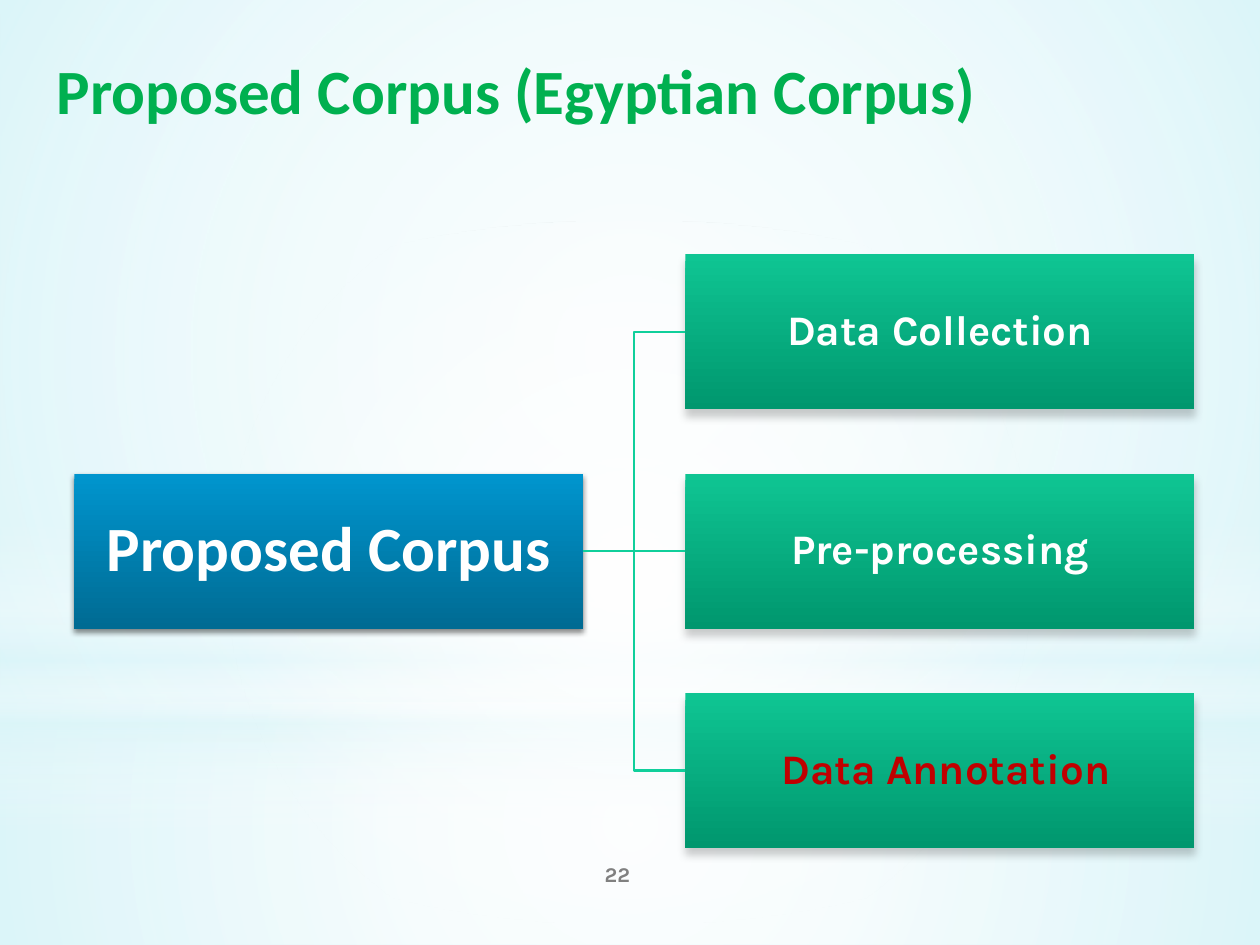
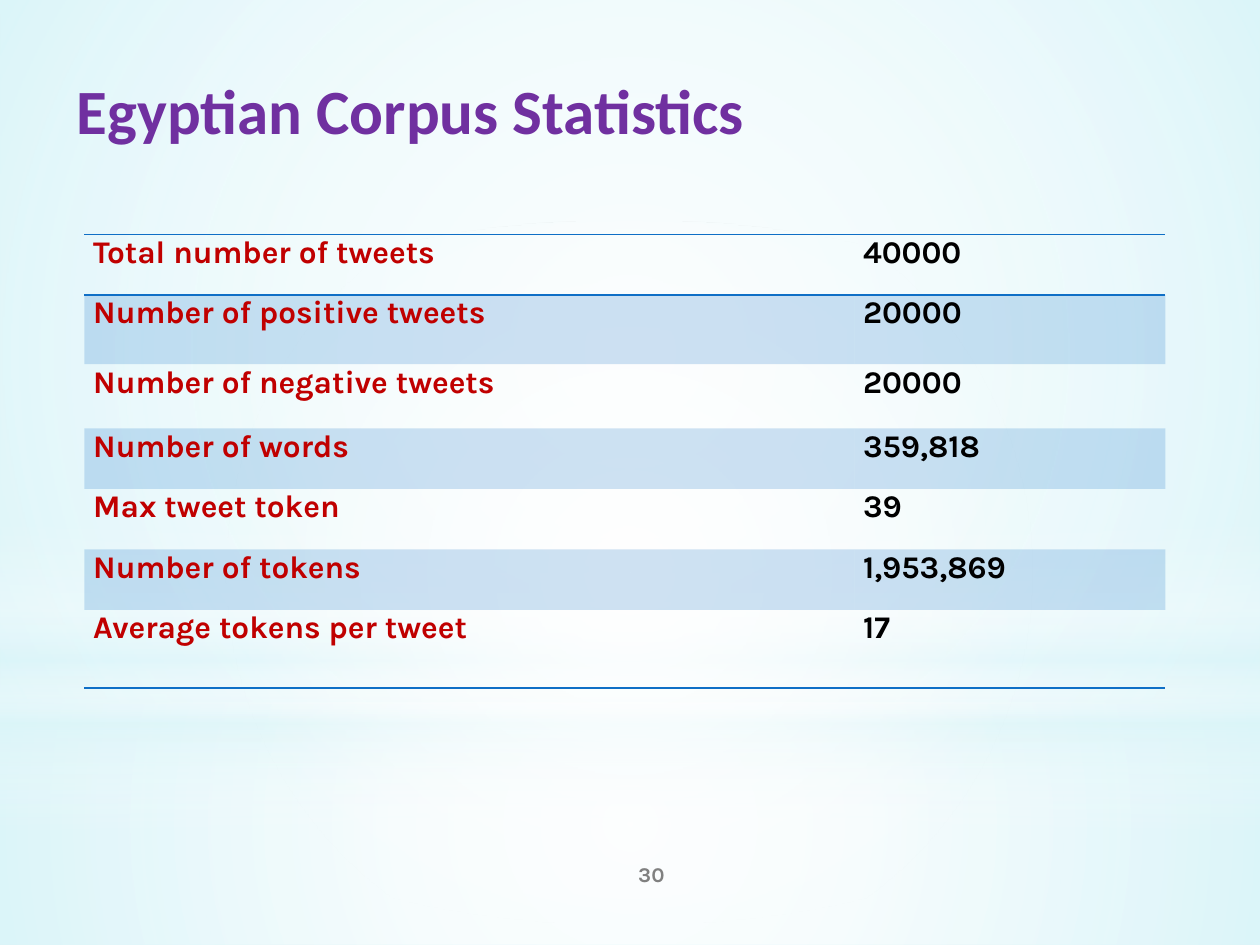
"""Build two slides on the Egyptian corpus: its steps and its statistics."""
import dataclasses

import pptx
import pptx.dml.color
import pptx.enum.shapes
import pptx.enum.text
import pptx.oxml
import pptx.oxml.ns
import pptx.util
from pptx.util import Inches

SHAPE = pptx.enum.shapes.MSO_SHAPE
LINK = pptx.enum.shapes.MSO_CONNECTOR
ALIGN = pptx.enum.text.PP_ALIGN
ANCHOR = pptx.enum.text.MSO_ANCHOR
qn = pptx.oxml.ns.qn
NS = pptx.oxml.ns.nsdecls("a")
PLAIN = "{2D5ABB26-0587-4C30-8999-92F81FD0307C}"


@dataclasses.dataclass(frozen=True)
class Theme:
    head: str = "Calibri"
    body: str = "Karla"
    big: int = 36
    mid: int = 24
    cell: int = 18
    small: int = 12
    pale: str = "DBF5F9"
    white: str = "FFFFFF"
    black: str = "000000"
    gray: str = "808080"
    green: str = "00B050"
    purple: str = "7030A0"
    red: str = "C00000"
    blue: str = "0F6FC6"
    teal: str = "10CF9B"
    hub: tuple = ((0, "0095CE", 100), (100, "006B93", 100))
    step: tuple = ((0, "0FC593", 100), (100, "00976E", 100))


class Deck:
    def __init__(self, theme):
        self.theme = theme
        self.prs = pptx.Presentation()
        self.prs.slide_width = Inches(10)
        self.prs.slide_height = Inches(7.5)
        self.slide = None

    def rgb(self, color):
        return pptx.dml.color.RGBColor.from_string(color)

    def label(self, frame, text, size, color, font, align=ALIGN.LEFT):
        frame.text = text
        frame.word_wrap = True
        para = frame.paragraphs[0]
        para.alignment = align
        style = para.runs[0].font
        style.name, style.size, style.bold = font, pptx.util.Pt(size), True
        style.color.rgb = self.rgb(color)
        return para

    def begin(self, text, color, box, page, left):
        t = self.theme
        self.slide = self.prs.slides.add_slide(self.prs.slide_layouts[5])
        title = self.slide.shapes.title
        title.left, title.top, title.width, title.height = map(Inches, box)
        frame = title.text_frame
        self.label(frame, text, t.big, color, t.head)
        frame.vertical_anchor = ANCHOR.TOP
        frame.auto_size = pptx.enum.text.MSO_AUTO_SIZE.NONE
        note = self.slide.shapes.add_textbox(
            Inches(left), Inches(6.74), Inches(2), Inches(0.4)).text_frame
        self.label(note, page, t.small, t.gray, t.body, ALIGN.CENTER)
        note.vertical_anchor = ANCHOR.MIDDLE

    def block(self, kind, box, stops, radial=False):
        shape = self.slide.shapes.add_shape(kind, *map(Inches, box))
        shape.shadow.inherit = False
        shape.line.fill.background()
        marks = "".join(
            f'<a:gs pos="{pos * 1000}"><a:srgbClr val="{color}">'
            f'<a:alpha val="{alpha * 1000}"/></a:srgbClr></a:gs>'
            for pos, color, alpha in stops)
        flow = ('<a:path path="circle"><a:fillToRect l="50000" t="50000" '
                'r="50000" b="50000"/></a:path>' if radial
                else '<a:lin ang="5400000" scaled="0"/>')
        fill = pptx.oxml.parse_xml(
            f'<a:gradFill {NS} rotWithShape="1"><a:gsLst>{marks}</a:gsLst>{flow}</a:gradFill>')
        shape.element.spPr.find(qn("a:prstGeom")).addnext(fill)
        return shape

    def box(self, text, place, stops, size, color, font, shade):
        shape = self.block(SHAPE.RECTANGLE, place, stops)
        alpha, blur, dist = shade
        shape.element.spPr.find(qn("a:effectLst")).append(pptx.oxml.parse_xml(
            f'<a:outerShdw {NS} blurRad="{pptx.util.Pt(blur)}" dist="{pptx.util.Pt(dist)}" '
            f'dir="5400000" rotWithShape="0"><a:srgbClr val="{self.theme.black}">'
            f'<a:alpha val="{alpha * 1000}"/></a:srgbClr></a:outerShdw>'))
        frame = shape.text_frame
        para = self.label(frame, text, size, color, font, ALIGN.CENTER)
        para.line_spacing = 0.9
        next(shape.element.iter(qn("a:pPr"))).set("rtl", "1")
        frame.vertical_anchor = ANCHOR.MIDDLE
        frame.margin_left = frame.margin_right = Inches(0.02)
        frame.margin_top = frame.margin_bottom = Inches(0.02)
        return shape

    def link(self, start, end):
        kind = LINK.STRAIGHT if start.top == end.top else LINK.ELBOW
        line = self.slide.shapes.add_connector(kind, 0, 0, 0, 0)
        line.begin_connect(start, 3)
        line.end_connect(end, 1)
        line.line.color.rgb = self.rgb(self.theme.teal)
        line.line.width = pptx.util.Pt(1.25)
        line.element.spPr.append(pptx.oxml.parse_xml(f"<a:effectLst {NS}/>"))

    def rule(self, props, sides):
        for spot, side in enumerate(sides):
            props.insert(spot, pptx.oxml.parse_xml(
                f'<a:ln{side} {NS} w="{pptx.util.Pt(1)}"><a:solidFill>'
                f'<a:srgbClr val="{self.theme.blue}"/></a:solidFill></a:ln{side}>'))

    def tint(self, cell, props, band):
        if not band:
            cell.fill.background()
            return
        cell.fill.solid()
        cell.fill.fore_color.rgb = self.rgb(self.theme.blue)
        next(props.iter(qn("a:srgbClr"))).append(
            pptx.oxml.parse_xml(f'<a:alpha {NS} val="20000"/>'))

    def table(self, rows, left, top, widths, heights):
        t = self.theme
        frame = self.slide.shapes.add_table(
            len(rows), len(widths), Inches(left), Inches(top),
            Inches(sum(widths)), Inches(sum(heights)))
        grid = frame.table
        grid.first_row = grid.horz_banding = False
        next(frame.element.iter(qn("a:tableStyleId"))).text = PLAIN
        for col, width in zip(grid.columns, widths):
            col.width = Inches(width)
        nodes = list(frame.element.iter(qn("a:tc")))
        edges = {0: "TB", len(rows) - 1: "B"}
        for r, (row, height) in enumerate(zip(rows, heights)):
            grid.rows[r].height = Inches(height)
            for c, (text, color) in enumerate(zip(row, (t.red, t.black))):
                cell = grid.cell(r, c)
                cell.margin_left = cell.margin_right = Inches(0.07)
                cell.margin_top = cell.margin_bottom = 0
                self.label(cell.text_frame, text, t.cell, color, t.body)
                props = nodes[r * len(widths) + c].find(qn("a:tcPr"))
                self.tint(cell, props, r % 2)
                self.rule(props, edges.get(r, ""))

    def back(self):
        t = self.theme
        w, p = t.white, t.pale
        root = self.prs.slide_master
        root.background.fill.solid()
        root.background.fill.fore_color.rgb = self.rgb(p)
        bands = (
            (SHAPE.RECTANGLE, (0, 5.58, 10, 1.92),
             ((0, w, 91), (37, w, 76), (100, p, 79)), True),
            (SHAPE.RECTANGLE, (0, 0, 10, 5.58),
             ((0, w, 89), (48, w, 62), (100, p, 79)), True),
            (SHAPE.RECTANGLE, (0, 4.12, 10, 2.5),
             ((0, w, 0), (29, w, 30), (45, p, 40), (55, w, 26), (65, p, 60), (100, w, 0)), False),
            (SHAPE.OVAL, (0, 1.75, 10, 5.58), ((0, w, 100), (56, w, 0)), True),
        )
        for spot, band in enumerate(bands, 2):
            root.shapes.element.insert(spot, self.block(*band).element)


def steps(deck):
    t = deck.theme
    deck.begin("Proposed Corpus (Egyptian Corpus)", t.green, (0.35, 0.36, 9.21, 1.02), "22", 3.9)
    deck.back()
    wide, high, top, pitch = 4.04, 1.23, 2.02, 1.74
    hub = deck.box("Proposed Corpus", (0.59, top + pitch, wide, high), t.hub,
                   t.big, t.white, t.head, (45, 3.1, 1.8))
    names = (("Data Collection", t.white), ("Pre-processing", t.white),
             ("Data Annotation ", t.red))
    for i, (name, color) in enumerate(names):
        step = deck.box(name, (5.44, top + i * pitch, wide, high), t.step,
                        t.mid, color, t.body, (20, 5, 4))
        deck.link(hub, step)


def stats(deck):
    deck.begin("Egyptian Corpus Statistics", deck.theme.purple, (0.51, 0.52, 8.74, 0.87), "30", 4.17)
    rows = (
        ("Total number of tweets", "40000"),
        ("Number of positive tweets", "20000"),
        ("Number of negative tweets", "20000"),
        ("Number of words", "359,818"),
        ("Max tweet token", "39"),
        ("Number of tokens", "1,953,869"),
        ("Average tokens per tweet", "17"),
    )
    deck.table(rows, 0.67, 1.86, (6.11, 2.47), (0.48, 0.55, 0.51, 0.48, 0.48, 0.48, 0.62))


def main():
    deck = Deck(Theme())
    steps(deck)
    stats(deck)
    deck.prs.save("out.pptx")


if __name__ == "__main__":
    main()
